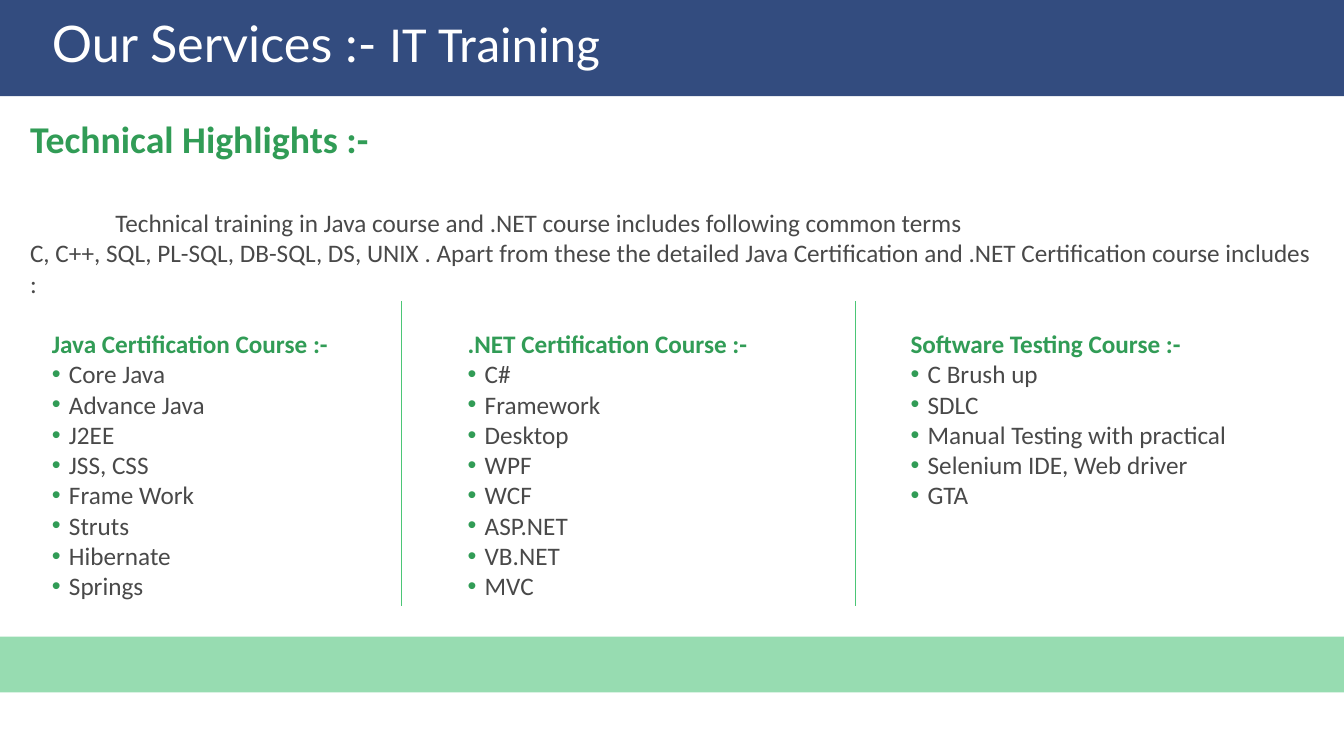
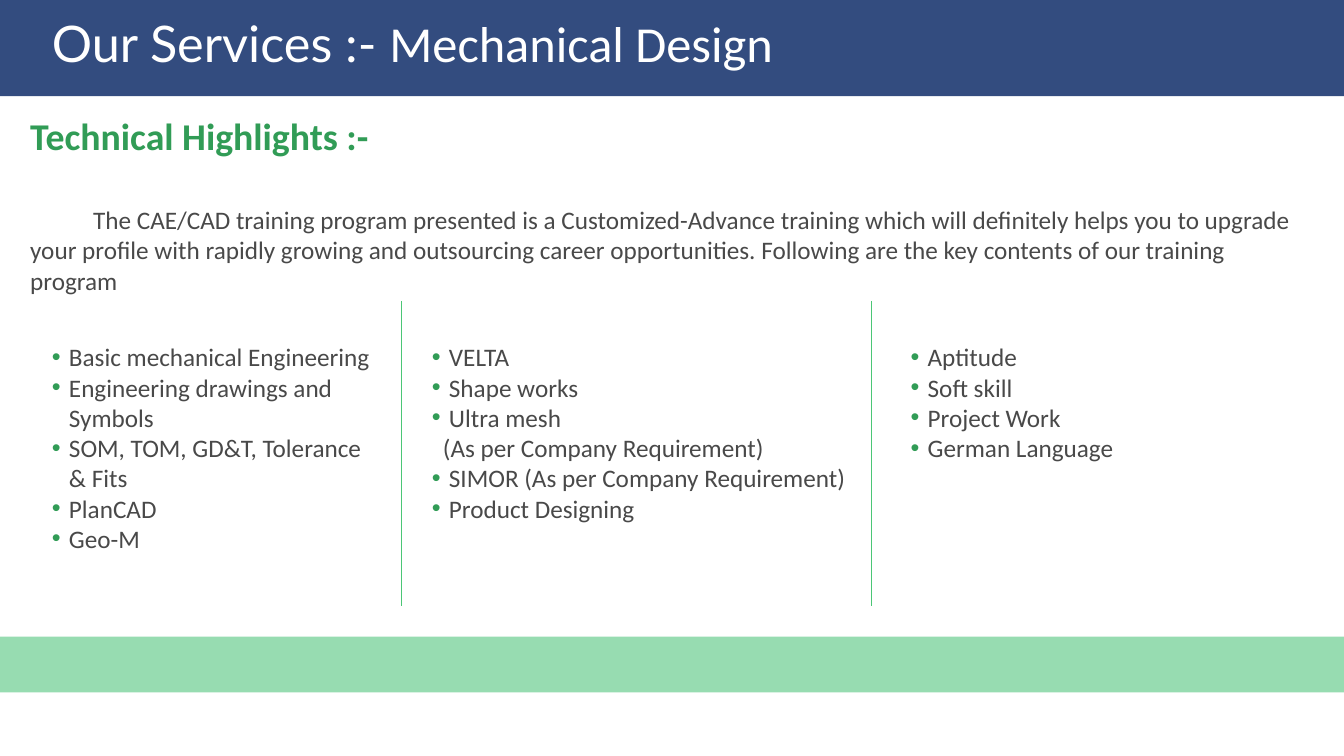
import pptx
import pptx.util
import pptx.dml.color
import pptx.enum.shapes
import pptx.enum.text
import pptx.oxml
import pptx.oxml.ns
from pptx.util import Inches

COLORS = {
    "navy": "002060",
    "mint": "43C072",
    "heading": "319C56",
    "body": "494949",
    "white": "FFFFFF",
    "divider": "4BC676",
}
SLIDE_WIDTH, SLIDE_HEIGHT = 26.67, 15
BULLET_INDENT = 0.34
# top, height, colour and opacity in percent
BANDS = [(0, 1.91, "navy", 80), (12.63, 1.11, "mint", 55)]

# Each column: left, top, width, height, heading, entries.
# An entry is a bullet, or a (continuation, indent) pair without one.
SERVICES = [
    {
        "name": "IT Training",
        "title_width": 11.43,
        "intro_top": 2.25,
        "first_indent": 1.69,
        "intro": [
            "Technical training in Java course and .NET course includes following common terms",
            "C, C++, SQL, PL-SQL, DB-SQL, DS, UNIX . Apart from these the detailed Java "
            "Certification and .NET Certification course includes :",
        ],
        "columns": [
            (0.93, 6.47, 6.5, 5.5, "Java Certification Course :-",
             ["Core Java", "Advance Java", "J2EE", "JSS, CSS", "Frame Work",
              "Struts", "Hibernate", "Springs"]),
            (9.18, 6.47, 7.25, 5.5, ".NET Certification Course :-",
             ["C#", "Framework", "Desktop", "WPF", "WCF", "ASP.NET", "VB.NET", "MVC"]),
            (17.97, 6.47, 7.41, 3.7, "Software Testing Course :-",
             ["C Brush up", "SDLC", "Manual Testing with practical",
              "Selenium IDE, Web driver", "GTA"]),
        ],
        "dividers": [7.97, 16.97],
    },
    {
        "name": "Mechanical Design",
        "title_width": 23.47,
        "intro_top": 2.19,
        "first_indent": 1.25,
        "intro": [
            "The CAE/CAD training program presented is a Customized-Advance training which "
            "will definitely helps you to upgrade your profile with rapidly growing and "
            "outsourcing career opportunities. Following are the key contents of our "
            "training program",
        ],
        "columns": [
            (0.93, 6.73, 6.68, 4.3, None,
             ["Basic mechanical Engineering", "Engineering drawings and",
              ("Symbols", BULLET_INDENT), "SOM, TOM, GD&T, Tolerance",
              ("& Fits", BULLET_INDENT), "PlanCAD", "Geo-M"]),
            (8.47, 6.73, 9.87, 3.7, None,
             ["VELTA", "Shape works", "Ultra mesh",
              ("(As per Company Requirement)", 0.22),
              "SIMOR (As per Company Requirement)", "Product Designing"]),
            (17.97, 6.73, 7.41, 2.5, None,
             ["Aptitude", "Soft skill", "Project Work", "German Language"]),
        ],
        "dividers": [7.97, 17.29],
    },
]


def add_text_area(slide, left, top, width, height):
    frame = slide.shapes.add_textbox(
        Inches(left), Inches(top), Inches(width), Inches(height)).text_frame
    frame.word_wrap = True
    frame.auto_size = pptx.enum.text.MSO_AUTO_SIZE.SHAPE_TO_FIT_TEXT
    return frame


def add_line(frame, runs, margin=0, indent=0, bullet=False):
    """Fill the first empty paragraph or a new one; a run is text, size, colour, bold, font."""
    paragraph = frame.paragraphs[-1]
    if paragraph.runs:
        paragraph = frame.add_paragraph()
    for text, size, color, bold, font in runs:
        run = paragraph.add_run()
        run.text = text
        run.font.size = pptx.util.Pt(size)
        run.font.name = font
        run.font.bold = bold
        run.font.color.rgb = pptx.dml.color.RGBColor.from_string(COLORS[color])
    properties = paragraph._p.get_or_add_pPr()
    properties.set("marL", str(Inches(margin)))
    properties.set("indent", str(Inches(indent)))
    if bullet:
        namespace = pptx.oxml.ns.nsdecls("a")
        for xml in (
            f'<a:buClr {namespace}><a:srgbClr val="{COLORS["heading"]}"/></a:buClr>',
            f'<a:buFont {namespace} typeface="Arial"/>',
            f'<a:buChar {namespace} char="•"/>',
        ):
            properties.append(pptx.oxml.parse_xml(xml))
    return paragraph


presentation = pptx.Presentation()
presentation.slide_width = Inches(SLIDE_WIDTH)
presentation.slide_height = Inches(SLIDE_HEIGHT)

for service in SERVICES:
    slide = presentation.slides.add_slide(presentation.slide_layouts[6])

    # Header and footer bands
    for top, height, color, opacity in BANDS:
        band = slide.shapes.add_shape(
            pptx.enum.shapes.MSO_SHAPE.RECTANGLE,
            0, Inches(top), Inches(SLIDE_WIDTH), Inches(height))
        band.shadow.inherit = False
        band.line.fill.background()
        band.fill.solid()
        band.fill.fore_color.rgb = pptx.dml.color.RGBColor.from_string(COLORS[color])
        fill_color = band._element.spPr.find(".//" + pptx.oxml.ns.qn("a:srgbClr"))
        fill_color.append(pptx.oxml.parse_xml(
            f'<a:alpha {pptx.oxml.ns.nsdecls("a")} val="{opacity * 1000}"/>'))

    # Title
    title = add_text_area(slide, 0.93, 0.2, service["title_width"], 2.5)
    add_line(title, [("Our Services :- ", 72, "white", False, "Lato"),
                     (service["name"], 72, "white", False, "Calibri")])

    # Technical highlights
    highlights = add_text_area(slide, 0.5, service["intro_top"], 25.62, 3.7)
    add_line(highlights, [("Technical Highlights :-", 54, "heading", True, "Calibri")])
    for number, sentence in enumerate(service["intro"]):
        paragraph = add_line(highlights, [(sentence, 36, "body", False, "Calibri")],
                             indent=0 if number else service["first_indent"])
        if number == 0:
            paragraph.space_before = pptx.util.Pt(66)

    # Course columns
    for left, top, width, height, heading, entries in service["columns"]:
        column = add_text_area(slide, left, top, width, height)
        if heading:
            add_line(column, [(heading, 36, "heading", True, "Calibri")])
        for entry in entries:
            if isinstance(entry, tuple):
                text, margin = entry
                add_line(column, [(text, 36, "body", False, "Calibri")], margin)
            else:
                add_line(column, [(entry, 36, "body", False, "Calibri")],
                         BULLET_INDENT, -BULLET_INDENT, bullet=True)

    # Column dividers
    for x in service["dividers"]:
        divider = slide.shapes.add_connector(
            pptx.enum.shapes.MSO_CONNECTOR.STRAIGHT,
            Inches(x), Inches(5.97), Inches(x), Inches(12.03))
        divider.line.width = pptx.util.Pt(0.5)
        divider.line.color.rgb = pptx.dml.color.RGBColor.from_string(COLORS["divider"])
        divider._element.spPr.append(pptx.oxml.parse_xml(
            f'<a:effectLst {pptx.oxml.ns.nsdecls("a")}/>'))

presentation.save("out.pptx")
